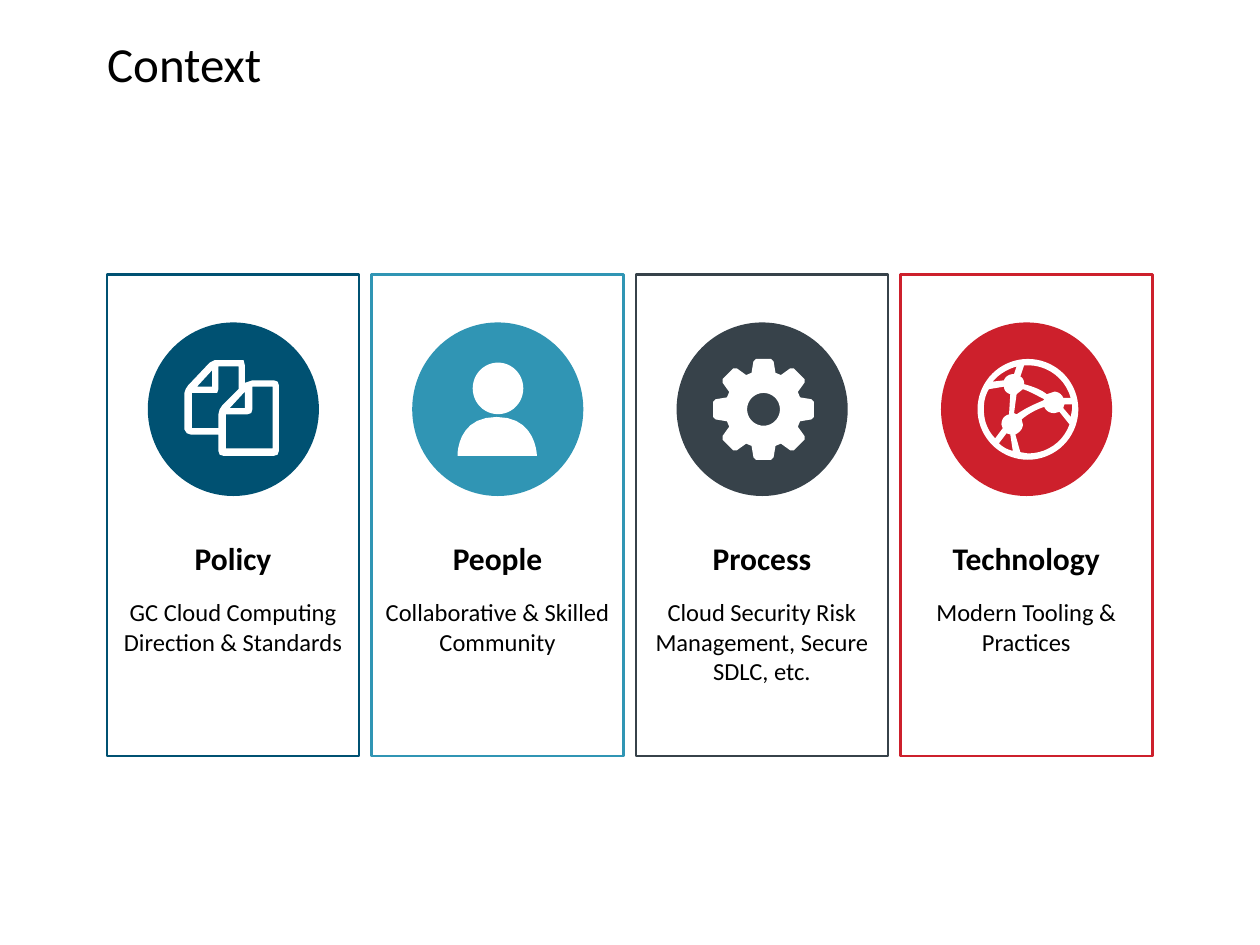
import math
from dataclasses import dataclass

from pptx import Presentation
from pptx import util as u
from pptx.dml.color import RGBColor
from pptx.enum import shapes, text


@dataclass(frozen=True)
class Theme:
    font: str = "Calibri"
    ink: str = "000000"
    white: str = "FFFFFF"
    policy: str = "005172"
    people: str = "3095B4"
    process: str = "37424A"
    technology: str = "CD202C"
    title: int = 28
    heading: int = 18
    body: int = 14


@dataclass(frozen=True)
class Pillar:
    heading: str
    detail: str
    color: str
    icon: list  # closed contours; the ones after the first are holes


T = Theme()
UNIT = 0.0254  # icon grid step in cm
CENTRE = 69  # icon middle on the grid, in both directions
LEFT, TOP, PITCH = 2.16, 5.54, 5.33
CARD_W, CARD_H = 5.08, 9.7


# Icon geometry: a 2-tuple is a corner, a 6-tuple a cubic curve
def trace(segments: list, steps: int = 10) -> list:
    points = []
    for seg in segments:
        if len(seg) == 2:
            points.append(seg)
            continue
        x0, y0 = points[-1]
        x1, y1, x2, y2, x3, y3 = seg
        for i in range(1, steps + 1):
            t = i / steps
            a, b, c, d = (1 - t) ** 3, 3 * t * (1 - t) ** 2, 3 * t * t * (1 - t), t ** 3
            points.append((a * x0 + b * x1 + c * x2 + d * x3,
                           a * y0 + b * y1 + c * y2 + d * y3))
    return points


def ring(radius: float, n: int = 72) -> list:
    angles = (2 * math.pi * i / n for i in range(n))
    return [(CENTRE + radius * math.cos(a), CENTRE + radius * math.sin(a)) for a in angles]


def gear_rim(teeth: int = 8) -> list:
    tooth = [(-9.5, -29), (-8, -38), (-6, -40), (6, -40), (8, -38), (9.5, -29)]
    rim = []
    for i in range(teeth):
        c, s = math.cos(2 * math.pi * i / teeth), math.sin(2 * math.pi * i / teeth)
        rim += [(CENTRE + x * c - y * s, CENTRE + x * s + y * c) for x, y in tooth]
    return rim


DOCUMENTS = [
    [(83, 46), (77, 48), (77, 34), (76, 30), (73, 30), (56, 30), (53, 30), (49, 32),
     (32, 50), (30, 53), (29, 56), (29, 85), (31, 88), (34, 89), (56, 89), (56, 102),
     (57, 105), (60, 106), (100, 106), (103, 105), (104, 102), (104, 50), (103, 47), (100, 46)],
    [(62, 100), (62, 73), (79, 73), (82, 72), (83, 69), (83, 51), (99, 51), (99, 100)],
    [(57, 69), (56, 73), (56, 84), (35, 84), (35, 56), (52, 56), (55, 56), (56, 53),
     (56, 35), (72, 35), (72, 53), (59, 66)],
    [(51, 51), (39, 51), (51, 38)],
    [(77, 68), (65, 68), (77, 55)],
]
SHOULDERS = [[(67, 75), (35, 75, 36, 106, 36, 106), (99, 106), (99, 106, 99, 75, 67, 75)]]
GEAR = [gear_rim(), ring(13)]
GLOBE = [
    ring(40),
    [(60, 73), (58, 72), (60, 57), (65, 53), (71, 55, 76, 58, 82, 61), (81, 62),
     (74, 65, 67, 68, 60, 73)],
    [(52, 88), (55, 89), (57, 102), (53, 101, 49, 99, 46, 96)],
    [(98, 65), (104, 65), (104, 69), (103, 75), (97, 68)],
    [(103, 60), (97, 60), (96, 57, 93, 55, 90, 55), (84, 57), (79, 53, 73, 51, 66, 49),
     (66, 46, 65, 44, 63, 43), (66, 34), (69, 34), (85, 34, 99, 45, 103, 60)],
    [(60, 35), (58, 41), (54, 41, 51, 43, 50, 46), (41, 47), (46, 41, 53, 37, 60, 35)],
    [(34, 69), (34, 63, 35, 58, 38, 53), (50, 51), (50, 54, 52, 56, 55, 57), (54, 73),
     (50, 74, 48, 77, 48, 81), (49, 84), (43, 92), (37, 86, 34, 78, 34, 69)],
    [(69, 104), (63, 103), (59, 89), (63, 87, 65, 84, 65, 81), (64, 77),
     (70, 72, 76, 69, 82, 67), (83, 70, 86, 72, 90, 72), (94, 71), (102, 81),
     (97, 95, 84, 104, 69, 104)],
]

PILLARS = [
    Pillar("Policy", "GC Cloud Computing Direction & Standards", T.policy, DOCUMENTS),
    Pillar("People", "Collaborative & Skilled Community", T.people, SHOULDERS),
    Pillar("Process", "Cloud Security Risk Management, Secure SDLC, etc.", T.process, GEAR),
    Pillar("Technology", "Modern Tooling & Practices", T.technology, GLOBE),
]


# Drawing helpers
def paint(sp, fill: str = "", line: str = "") -> None:
    sp.shadow.inherit = False
    if fill:
        sp.fill.solid()
        sp.fill.fore_color.rgb = RGBColor.from_string(fill)
    else:
        sp.fill.background()
    if line:
        sp.line.color.rgb = RGBColor.from_string(line)
        sp.line.width = u.Pt(1.5)
    else:
        sp.line.fill.background()


def add_preset(s, kind, x: float, y: float, w: float, h: float, **style) -> None:
    sp = s.shapes.add_shape(kind, u.Cm(x), u.Cm(y), u.Cm(w), u.Cm(h))
    paint(sp, **style)


def write(sp, words: str, *, size: int, bold: bool = False,
          align=text.PP_ALIGN.CENTER, inset: tuple = (0.18, 0.1)) -> None:
    tf = sp.text_frame
    tf.word_wrap = True
    tf.auto_size = text.MSO_AUTO_SIZE.NONE
    tf.vertical_anchor = text.MSO_ANCHOR.TOP
    tf.margin_left = tf.margin_right = u.Cm(inset[0])
    tf.margin_top = tf.margin_bottom = u.Cm(inset[1])
    p = tf.paragraphs[0]
    p.alignment = align
    r = p.add_run()
    r.text = words
    r.font.name, r.font.size, r.font.bold = T.font, u.Pt(size), bold
    r.font.color.rgb = RGBColor.from_string(T.ink)


def draw_icon(s, contours: list, x: float, y: float) -> None:
    outlines = [[(u.Cm(px * UNIT), u.Cm(py * UNIT)) for px, py in trace(c)] for c in contours]
    fb = s.shapes.build_freeform(*outlines[0][0])
    for i, outline in enumerate(outlines):
        if i:
            fb.move_to(*outline[0])
        fb.add_line_segments(outline[1:], close=True)
    paint(fb.convert_to_shape(u.Cm(x), u.Cm(y)), fill=T.white)


def draw_pillar(s, pillar: Pillar, x: float) -> None:
    # Frame and badge
    badge_x, badge_y = x + 0.82, TOP + 0.96
    add_preset(s, shapes.MSO_SHAPE.RECTANGLE, x, TOP, CARD_W, CARD_H, line=pillar.color)
    add_preset(s, shapes.MSO_SHAPE.OVAL, badge_x, badge_y, 3.45, 3.5, fill=pillar.color)
    draw_icon(s, pillar.icon, badge_x, badge_y)
    if pillar.icon is SHOULDERS:  # head above the shoulders
        add_preset(s, shapes.MSO_SHAPE.OVAL, badge_x + 1.22, badge_y + 0.81, 1.02, 1.04,
                   fill=T.white)
    # Heading and detail
    for words, y, h, size, bold in ((pillar.heading, 10.77, 1.04, T.heading, True),
                                    (pillar.detail, 11.94, 3.3, T.body, False)):
        sp = s.shapes.add_textbox(u.Cm(x), u.Cm(y), u.Cm(CARD_W), u.Cm(h))
        write(sp, words, size=size, bold=bold)


def main() -> None:
    prs = Presentation()
    prs.slide_width, prs.slide_height = u.Cm(25.4), u.Cm(19.05)
    s = prs.slides.add_slide(prs.slide_layouts[5])

    # Title
    title = s.shapes.title
    title.left, title.top = u.Cm(LEFT), u.Cm(0.68)
    title.width, title.height = u.Cm(20.32), u.Cm(1.88)
    write(title, "Context", size=T.title, align=text.PP_ALIGN.LEFT, inset=(0, 0))

    # Four pillars at an equal pitch
    for i, pillar in enumerate(PILLARS):
        draw_pillar(s, pillar, LEFT + i * PITCH)

    prs.save("out.pptx")


if __name__ == "__main__":
    main()
